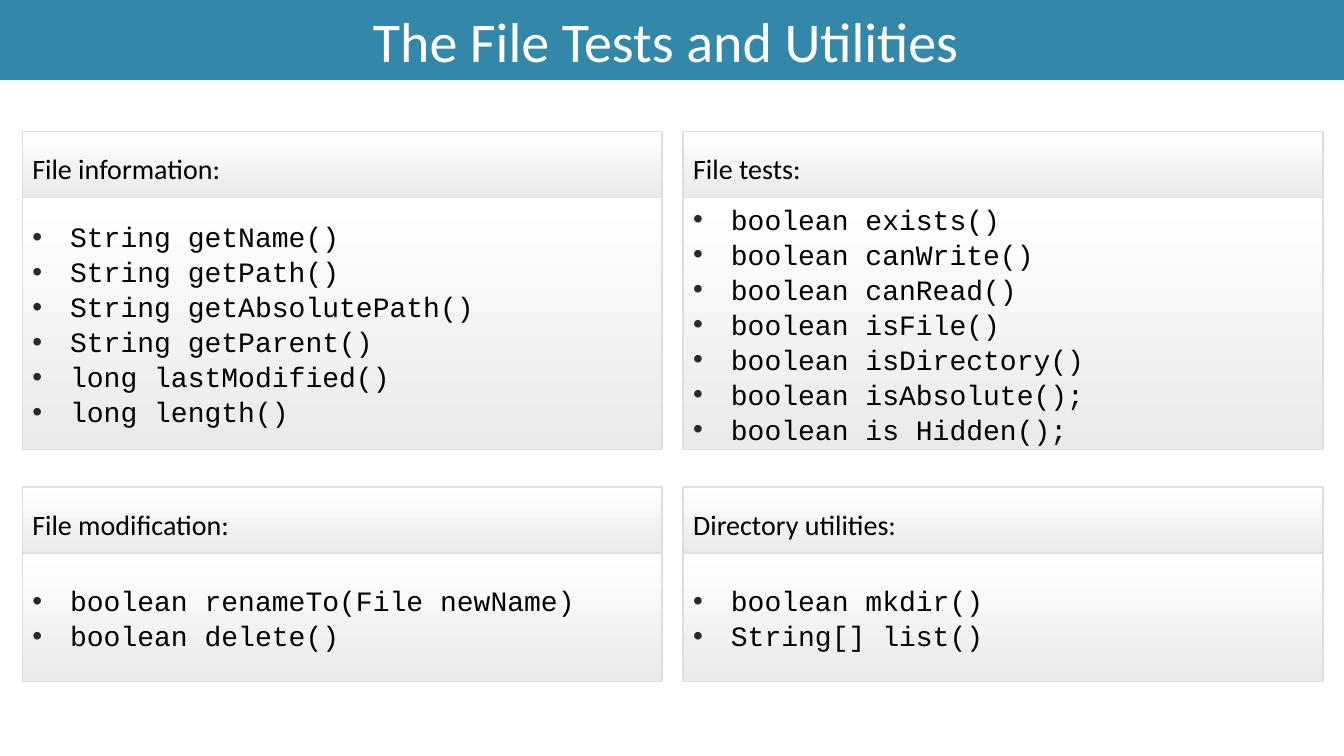
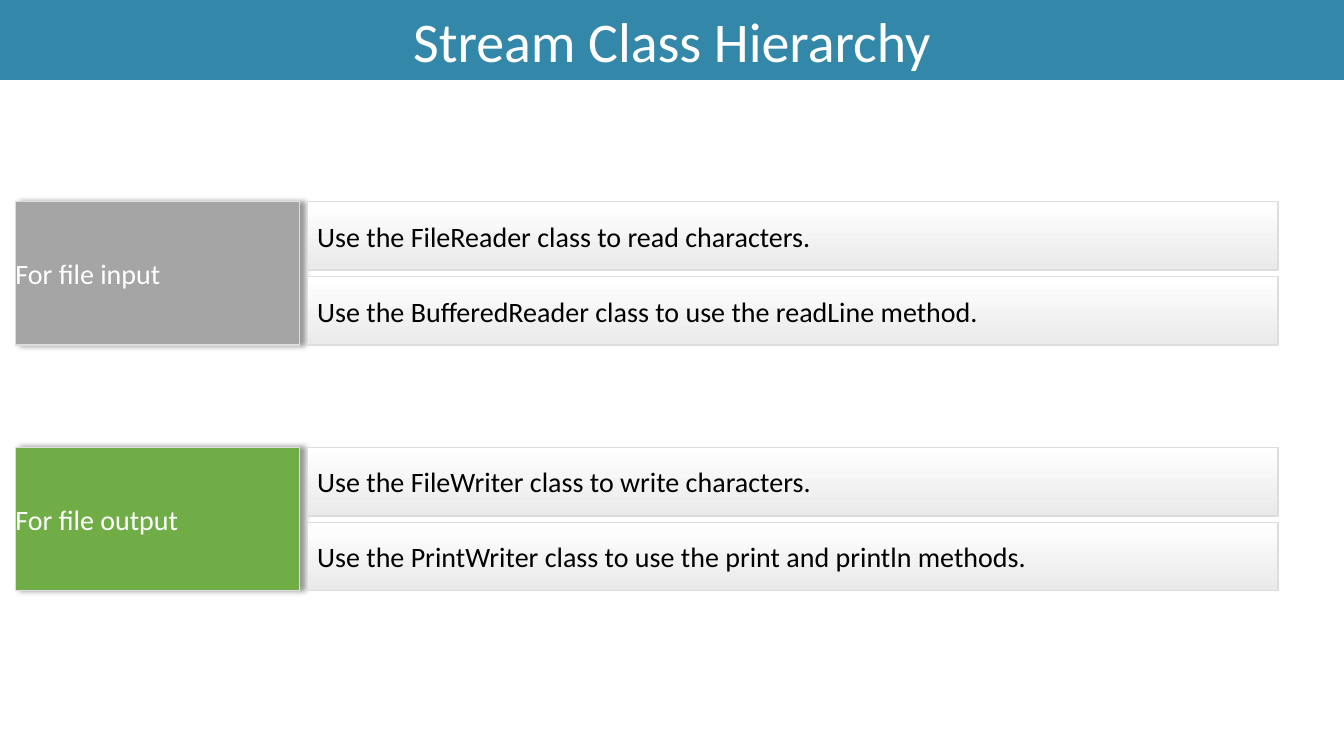
from lxml import etree
from pptx import Presentation
from pptx.dml.color import RGBColor
from pptx.enum import shapes, text
from pptx.oxml import parse_xml
from pptx.oxml.ns import nsdecls, qn
from pptx.util import Pt

WIDTH, HEIGHT = 960, 540
BAND, BORDER, BULLET = "3388A9", "DDDDDD", "292929"
BLACK, WHITE, PALE = "000000", "FFFFFF", "EAEAEA"
GREY, GREEN = "A5A5A5", "70AD47"


def rgb(value):
    return RGBColor.from_string(value)


def add_panel(page, frame, lines, fill=None, border=BORDER, font="Calibri",
              size=20, color=BLACK, insets=(7.2, 7.2, 7.2, 7.2),
              align=text.PP_ALIGN.LEFT, spacing=None, bullets=False):
    """Add a text rectangle; without a fill colour it gets the pale gradient."""
    panel = page.shapes.add_shape(shapes.MSO_SHAPE.RECTANGLE, *map(Pt, frame))
    if fill:
        panel.fill.solid()
        panel.fill.fore_color.rgb = rgb(fill)
    else:
        panel.fill.gradient()
        panel.fill.gradient_angle = 270
        for stop, shade in zip(panel.fill.gradient_stops, (WHITE, PALE)):
            stop.color.rgb = rgb(shade)
    if border:
        panel.line.color.rgb = rgb(border)
        panel.line.width = Pt(1)
    else:
        panel.line.fill.background()
    panel.shadow.inherit = False

    box = panel.text_frame
    box.word_wrap = True
    box.vertical_anchor = text.MSO_ANCHOR.MIDDLE
    box.margin_left, box.margin_top, box.margin_right, box.margin_bottom = map(Pt, insets)
    for index, line in enumerate(lines):
        para = box.paragraphs[0] if index == 0 else box.add_paragraph()
        para.text = line
        para.alignment = align
        if spacing:
            para.line_spacing = Pt(spacing)
        if bullets:
            props = para._p.get_or_add_pPr()
            props.set("marL", str(Pt(27)))
            props.set("indent", str(Pt(-27)))
            tint = etree.SubElement(props, qn("a:buClr"))
            etree.SubElement(tint, qn("a:srgbClr"), val=BULLET)
            etree.SubElement(props, qn("a:buFont"), typeface="Arial")
            etree.SubElement(props, qn("a:buChar"), char="•")
        para.font.name = font
        para.font.size = Pt(size)
        para.font.color.rgb = rgb(color)
    return panel


deck = Presentation()
deck.slide_width, deck.slide_height = Pt(WIDTH), Pt(HEIGHT)
pages = []
for title in ("The File Tests and Utilities ", "Stream Class Hierarchy"):
    page = deck.slides.add_slide(deck.slide_layouts[6])
    add_panel(page, (0, 0, WIDTH, 57), [title], fill=BAND, border=None, size=40,
              color=WHITE, insets=(7.2, 3.6, 7.2, 3.6), align=text.PP_ALIGN.CENTER)
    pages.append(page)
utilities, streams = pages

# File methods: two columns of headed lists
LEFT, RIGHT, CARD_WIDTH, HEADER = 16, 488, 457, 47
UPPER, LOWER = (94, 180), (348, 92)  # top of the header, height of the list
cards = [
    (LEFT, UPPER, "File information:",
     ["String getName()", "String getPath()", "String getAbsolutePath()",
      "String getParent()", "long lastModified()", "long length()"]),
    (RIGHT, UPPER, "File tests:",
     ["boolean exists()", "boolean canWrite()", "boolean canRead()",
      "boolean isFile()", "boolean isDirectory()", "boolean isAbsolute();",
      "boolean is Hidden();"]),
    (LEFT, LOWER, "File modification:",
     ["boolean renameTo(File newName)", "boolean delete()"]),
    (RIGHT, LOWER, "Directory utilities:",
     ["boolean mkdir()", "String[] list()"]),
]
for left, (top, height), heading, methods in cards:
    add_panel(utilities, (left, top, CARD_WIDTH, HEADER), [heading], spacing=30)
    add_panel(utilities, (left, top + HEADER, CARD_WIDTH, height), methods,
              font="Courier New", spacing=25, bullets=True)

# Stream classes: a coloured label beside two stacked rows
ROW_HEIGHT, ROW_STEP = 49, 53.5
groups = [
    (144, GREY, "For file input",
     ["Use the FileReader class to read characters.",
      "Use the BufferedReader class to use the readLine method."]),
    (319.5, GREEN, "For file output",
     ["Use the FileWriter class to write characters.",
      "Use the PrintWriter class to use the print and println methods."]),
]
for top, fill, caption, rows in groups:
    label = add_panel(streams, (11, top, 203, ROW_STEP + ROW_HEIGHT), [caption],
                      fill=fill, color=WHITE, insets=(0, 0, 0, 0))
    effects = label._element.spPr.find(qn("a:effectLst"))
    effects.append(parse_xml(
        f'<a:outerShdw {nsdecls("a")} blurRad="{Pt(4)}" dist="{Pt(3)}" dir="0" '
        f'algn="ctr" rotWithShape="0"><a:srgbClr val="{BLACK}">'
        '<a:alpha val="40000"/></a:srgbClr></a:outerShdw>'))
    for index, row in enumerate(rows):
        add_panel(streams, (219.5, top + index * ROW_STEP, 693.5, ROW_HEIGHT), [row],
                  insets=(7.2, 7.2, 0, 7.2), align=text.PP_ALIGN.JUSTIFY)

deck.save("out.pptx")
